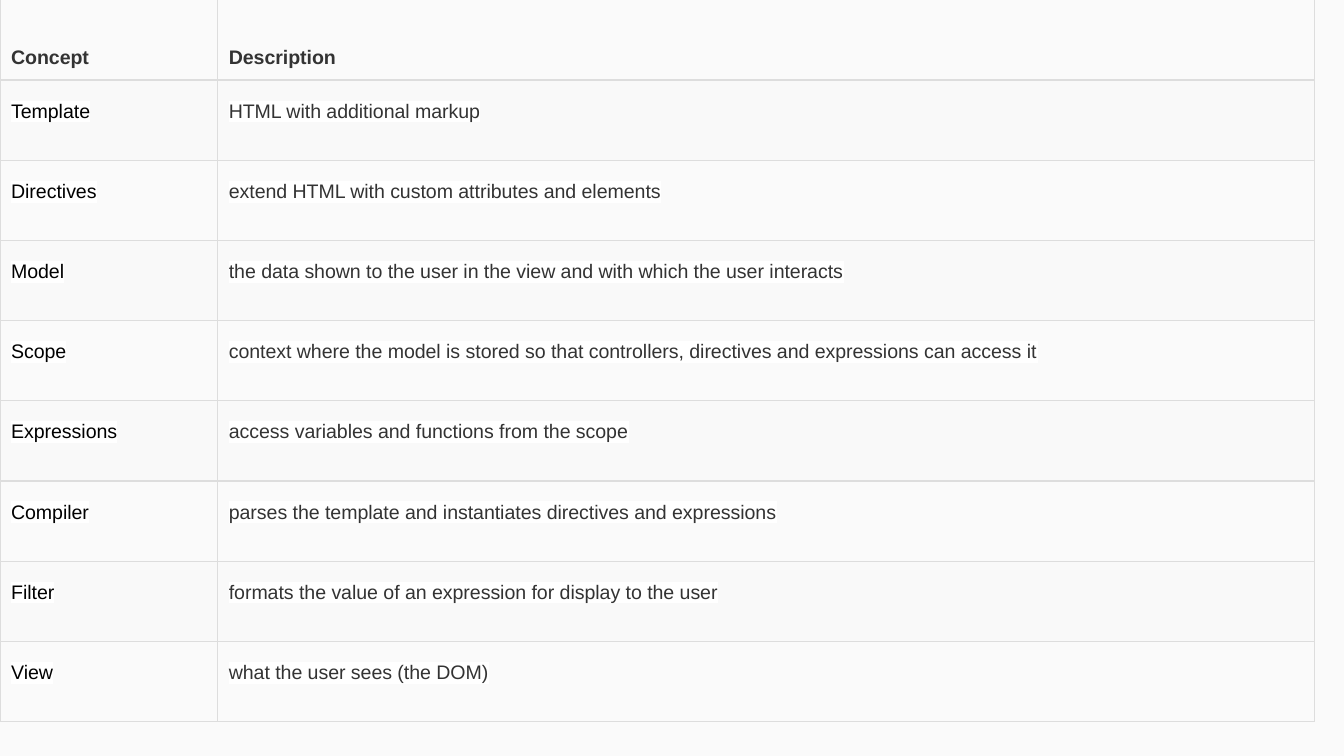
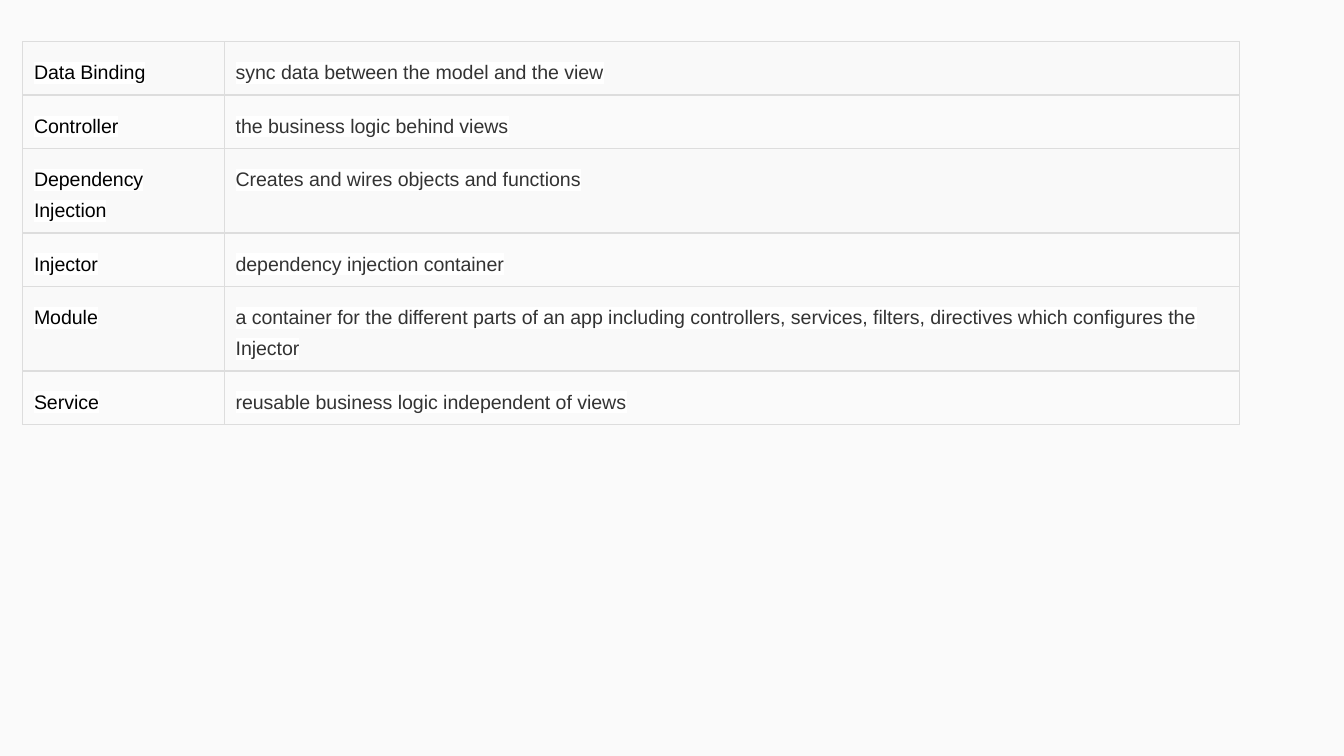
from lxml.etree import SubElement
from pptx import Presentation
from pptx.dml.color import RGBColor
from pptx.enum.text import MSO_ANCHOR
from pptx.oxml.ns import qn
from pptx.util import Inches, Pt

BACK = RGBColor(0xFA, 0xFA, 0xFA)
BAND = RGBColor(0xF9, 0xF9, 0xF9)
WHITE = RGBColor(0xFF, 0xFF, 0xFF)
LINE = RGBColor(0xDD, 0xDD, 0xDD)
BLACK = RGBColor(0, 0, 0)
GREY = RGBColor(0x33, 0x33, 0x33)
FONT = "Arial"
PAD = Inches(1 / 12)

HEADER = ("Concept", "Description")
BASICS = [
    ("Template", "HTML with additional markup"),
    ("Directives", "extend HTML with custom attributes and elements"),
    ("Model", "the data shown to the user in the view and with which the user interacts"),
    ("Scope", "context where the model is stored so that controllers, "
              "directives and expressions can access it"),
    ("Expressions", "access variables and functions from the scope"),
    ("Compiler", "parses the template and instantiates directives and expressions"),
    ("Filter", "formats the value of an expression for display to the user"),
    ("View", "what the user sees (the DOM)"),
]
PARTS = [
    ("Data Binding", "sync data between the model and the view"),
    ("Controller", "the business logic behind views"),
    ("Dependency Injection", "Creates and wires objects and functions"),
    ("Injector", "dependency injection container"),
    ("Module", "a container for the different parts of an app including controllers, "
               "services, filters, directives which configures the Injector"),
    ("Service", "reusable business logic independent of views"),
]


def add_color(parent, color):
    return SubElement(parent, qn("a:srgbClr"), val=str(color))


def set_edges(cell, top, bottom):
    """Draw the four borders; a width of 0 hides one."""
    props = cell._tc.get_or_add_tcPr()
    for side, width in (("L", 0.75), ("R", 0.75), ("T", top), ("B", bottom)):
        line = SubElement(props, qn(f"a:ln{side}"), w=str(int(Pt(width))))
        if width:
            add_color(SubElement(line, qn("a:solidFill")), LINE)
        else:
            SubElement(line, qn("a:noFill"))


def set_fill(cell, band):
    """Banded rows are solid, the others are clear white."""
    cell.fill.solid()
    cell.fill.fore_color.rgb = BAND if band else WHITE
    if not band:
        color = cell._tc.tcPr.find(qn("a:solidFill")).find(qn("a:srgbClr"))
        SubElement(color, qn("a:alpha"), val="0")


def set_text(cell, text, color, head):
    cell.margin_left = cell.margin_right = PAD
    cell.margin_top = cell.margin_bottom = PAD
    cell.vertical_anchor = MSO_ANCHOR.BOTTOM if head else MSO_ANCHOR.TOP
    para = cell.text_frame.paragraphs[0]
    para.line_spacing = 1.43
    para.space_after = Pt(15)
    run = para.add_run()
    run.text = text
    font = run.font
    font.size, font.bold = Pt(10.5), head
    font.color.rgb = color
    # The highlight has to stand between the colour and the typeface
    if not head:
        add_color(SubElement(run._r.get_or_add_rPr(), qn("a:highlight")), WHITE)
    font.name = FONT


def add_terms(deck, box, cols, heights, terms, header=None):
    """Add a slide with a two-column table of terms in the given box."""
    slide = deck.slides.add_slide(deck.slide_layouts[6])
    slide.background.fill.solid()
    slide.background.fill.fore_color.rgb = BACK

    rows = ([header] if header else []) + terms
    left, top, width, height = map(Inches, box)
    frame = slide.shapes.add_table(len(rows), 2, left, top, width, height)
    table = frame.table
    table.first_row = table.horz_banding = False
    for col, size in zip(table.columns, cols):
        col.width = Inches(size)
    for row, size in zip(table.rows, heights):
        row.height = Inches(size)
    frame.height = height

    # Cells: the line below the header is twice as thick
    first = 1 if header else 0
    for i, texts in enumerate(rows):
        head = i < first
        upper = 0 if head else 1.5 if header and i == 1 else 0.75
        for j, text in enumerate(texts):
            cell = table.cell(i, j)
            set_edges(cell, upper, 1.5 if head else 0.75)
            set_fill(cell, not head and (i - first) % 2 == 0)
            set_text(cell, text, GREY if head or j else BLACK, head)


def main():
    deck = Presentation()
    deck.slide_width = Inches(10)
    deck.slide_height = Inches(10 * 9 / 16)
    add_terms(deck, (0, 0, 9.78, 5.37), (1.62, 8.16), [5.37 / 9] * 9, BASICS, HEADER)
    add_terms(deck, (0.17, 0.31, 9.05, 3), (1.5, 7.55),
              (0.38, 0.38, 0.57, 0.38, 0.57, 0.38), PARTS)
    deck.save("out.pptx")


if __name__ == "__main__":
    main()
